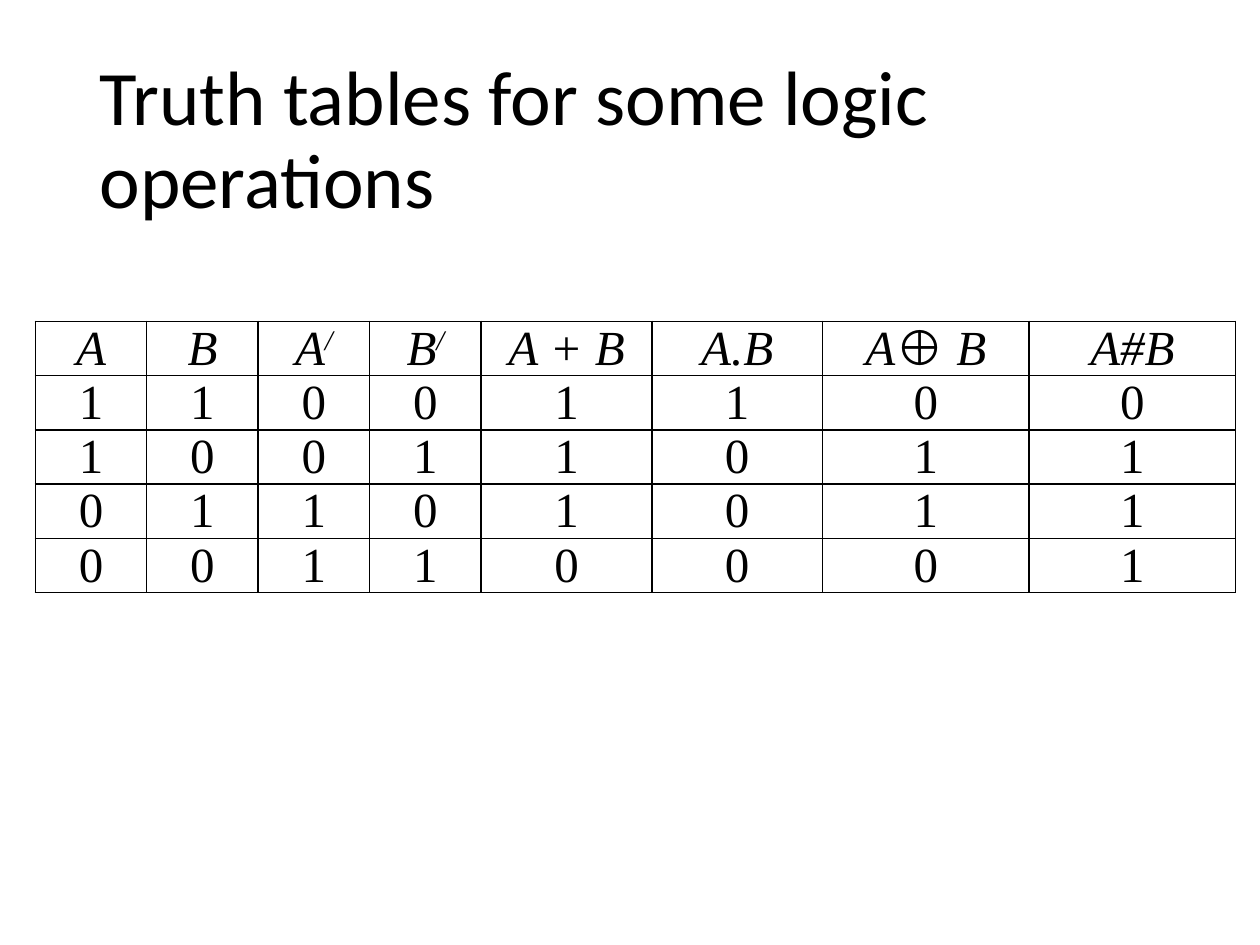
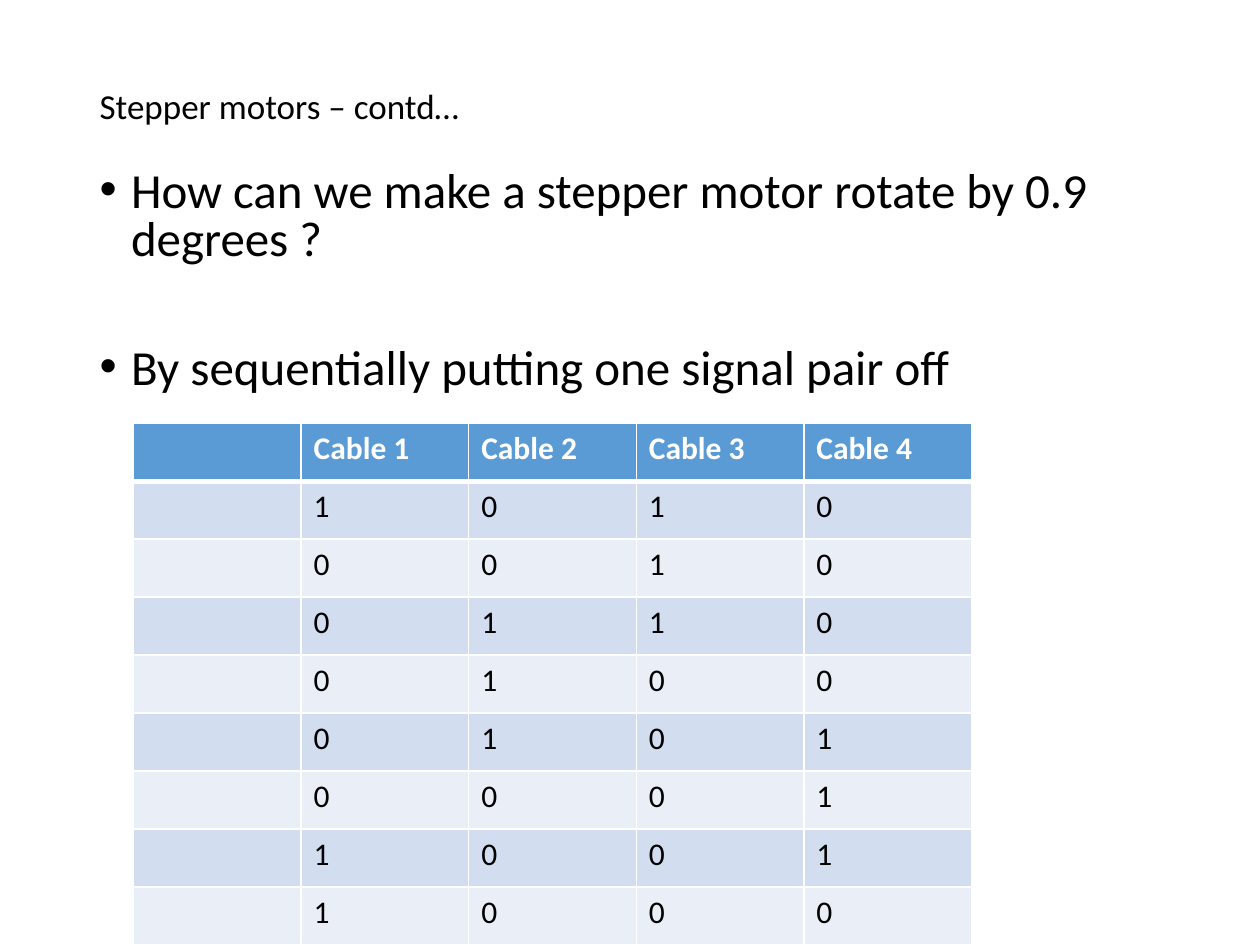
from dataclasses import dataclass

from lxml import etree
from pptx import Presentation
from pptx.dml.color import RGBColor
from pptx.enum import text as text_enum
from pptx.oxml import ns
from pptx.util import Inches, Pt


@dataclass(frozen=True)
class Theme:
    font: str = "Calibri"
    math_font: str = "Times New Roman"
    ink: str = "000000"
    paper: str = "FFFFFF"
    header: str = "5B9BD5"
    bands: tuple = ("D2DEEF", "EAEFF7")
    title_size: int = 44
    small_title_size: int = 20
    body_size: int = 28
    table_size: int = 18
    left: float = 0.69
    top: float = 0.4
    width: float = 8.62


class Deck:
    def __init__(self, theme):
        self.theme = theme
        self.presentation = Presentation()
        self.presentation.slide_width = Inches(10)
        self.presentation.slide_height = Inches(7.5)
        self.slide = None

    def add_slide(self, layout_name):
        layout = self.presentation.slide_layouts.get_by_name(layout_name)
        self.slide = self.presentation.slides.add_slide(layout)
        self.slide.background.fill.solid()
        self.slide.background.fill.fore_color.rgb = RGBColor.from_string(self.theme.paper)

    def style(self, paragraph, size, color=None, name=None, bold=False, italic=False):
        font = paragraph.font
        font.name = name or self.theme.font
        font.size = Pt(size)
        font.bold = bold
        font.italic = italic
        font.color.rgb = RGBColor.from_string(color or self.theme.ink)

    def place(self, shape, top, height, anchor):
        shape.left, shape.top = Inches(self.theme.left), Inches(top)
        shape.width, shape.height = Inches(self.theme.width), Inches(height)
        frame = shape.text_frame
        frame.word_wrap = True
        frame.auto_size = text_enum.MSO_AUTO_SIZE.NONE
        frame.vertical_anchor = anchor
        return frame

    def title(self, wording, size, height):
        frame = self.place(self.slide.shapes.title, self.theme.top, height,
                           text_enum.MSO_ANCHOR.MIDDLE)
        frame.text = wording
        paragraph = frame.paragraphs[0]
        paragraph.alignment = text_enum.PP_ALIGN.LEFT
        paragraph.line_spacing = 0.9
        self.style(paragraph, size)

    def bullets(self, items, top, height, gap):
        frame = self.place(self.slide.placeholders[1], top, height, text_enum.MSO_ANCHOR.TOP)
        frame.text = "\n".join(items)
        for index, paragraph in enumerate(frame.paragraphs):
            paragraph.line_spacing = 0.8
            paragraph.space_before = Pt(gap if index else 0)
            properties = paragraph._p.get_or_add_pPr()
            properties.set("marL", str(Inches(0.25)))
            properties.set("indent", str(Inches(-0.25)))
            etree.SubElement(properties, ns.qn("a:buFont"), typeface="Arial")
            etree.SubElement(properties, ns.qn("a:buChar"), char="•")
            self.style(paragraph, self.theme.body_size)

    def table(self, rows, left, top, widths, row_height):
        frame = self.slide.shapes.add_table(
            len(rows), len(widths), Inches(left), Inches(top),
            Inches(sum(widths)), Inches(row_height * len(rows)))
        table = frame.table
        table.first_row = table.horz_banding = False
        for column, width in zip(table.columns, widths):
            column.width = Inches(width)
        for row_index, values in enumerate(rows):
            table.rows[row_index].height = Inches(row_height)
            for column_index, value in enumerate(values):
                cell = table.cell(row_index, column_index)
                cell.text = value
                yield row_index, cell

    def borders(self, cell, color, bottom=1):
        properties = cell._tc.get_or_add_tcPr()
        sides = {"lnL": 1, "lnR": 1, "lnT": 1, "lnB": bottom}
        for position, (side, points) in enumerate(sides.items()):
            line = etree.Element(ns.qn(f"a:{side}"), w=str(Pt(points)))
            fill = etree.SubElement(line, ns.qn("a:solidFill"))
            etree.SubElement(fill, ns.qn("a:srgbClr"), val=color)
            properties.insert(position, line)

    def truth_table(self, header, values, left, top, widths, row_height):
        rows = [header, *values]
        for row_index, cell in self.table(rows, left, top, widths, row_height):
            cell.margin_left = cell.margin_right = Inches(0.06)
            cell.margin_top = cell.margin_bottom = 0
            cell.fill.background()
            self.borders(cell, self.theme.ink)
            paragraph = cell.text_frame.paragraphs[0]
            paragraph.alignment = text_enum.PP_ALIGN.CENTER
            if cell.text.endswith("/"):
                paragraph.runs[0].text = cell.text[:-1]
                prime = paragraph.add_run()
                prime.text = "/"
                prime._r.get_or_add_rPr().set("baseline", "30000")
            self.style(paragraph, self.theme.body_size, name=self.theme.math_font,
                       italic=row_index == 0)

    def banded_table(self, header, values, left, top, widths, row_height):
        rows = [header, *values]
        for row_index, cell in self.table(rows, left, top, widths, row_height):
            is_header = row_index == 0
            fill = self.theme.header if is_header else self.theme.bands[(row_index - 1) % 2]
            cell.fill.solid()
            cell.fill.fore_color.rgb = RGBColor.from_string(fill)
            self.borders(cell, self.theme.paper, bottom=3 if is_header else 1)
            self.style(cell.text_frame.paragraphs[0], self.theme.table_size,
                       color=self.theme.paper if is_header else self.theme.ink, bold=is_header)


def main():
    theme = Theme()
    deck = Deck(theme)

    deck.add_slide("Title Only")
    deck.title("Truth tables for some logic operations", theme.title_size, 1.45)
    deck.truth_table(
        ["A", "B", "A/", "B/", "A + B", "A.B", "A⊕ B", "A#B"],
        ["11001100", "10011011", "01101011", "00110001"],
        0.28, 2.55, [0.885] * 4 + [1.355] * 2 + [1.64] * 2, 0.39)

    deck.add_slide("Title and Content")
    deck.title("Stepper motors – contd…", theme.small_title_size, 0.91)
    deck.bullets(["How can we make a stepper motor rotate by 0.9 degrees ?",
                  "By sequentially putting one signal pair off"], 1.31, 2.04, 47)
    signals = ["1010", "0010", "0110", "0100", "0101", "0001", "1001", "1000"]
    deck.banded_table(
        ["", *(f"Cable {number}" for number in range(1, 5))],
        [["", *signal] for signal in signals],
        1.06, 3.36, [1.33] * 5, 0.46)

    deck.presentation.save("out.pptx")


if __name__ == "__main__":
    main()
